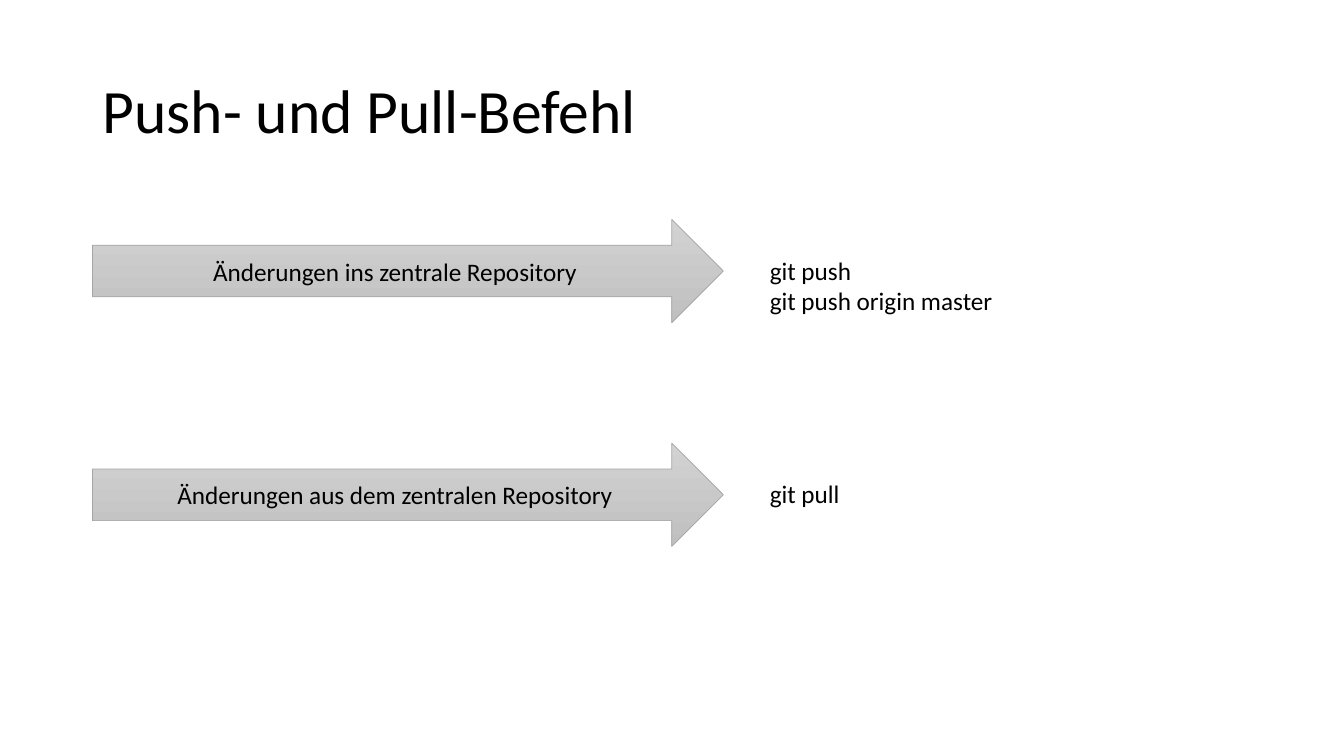
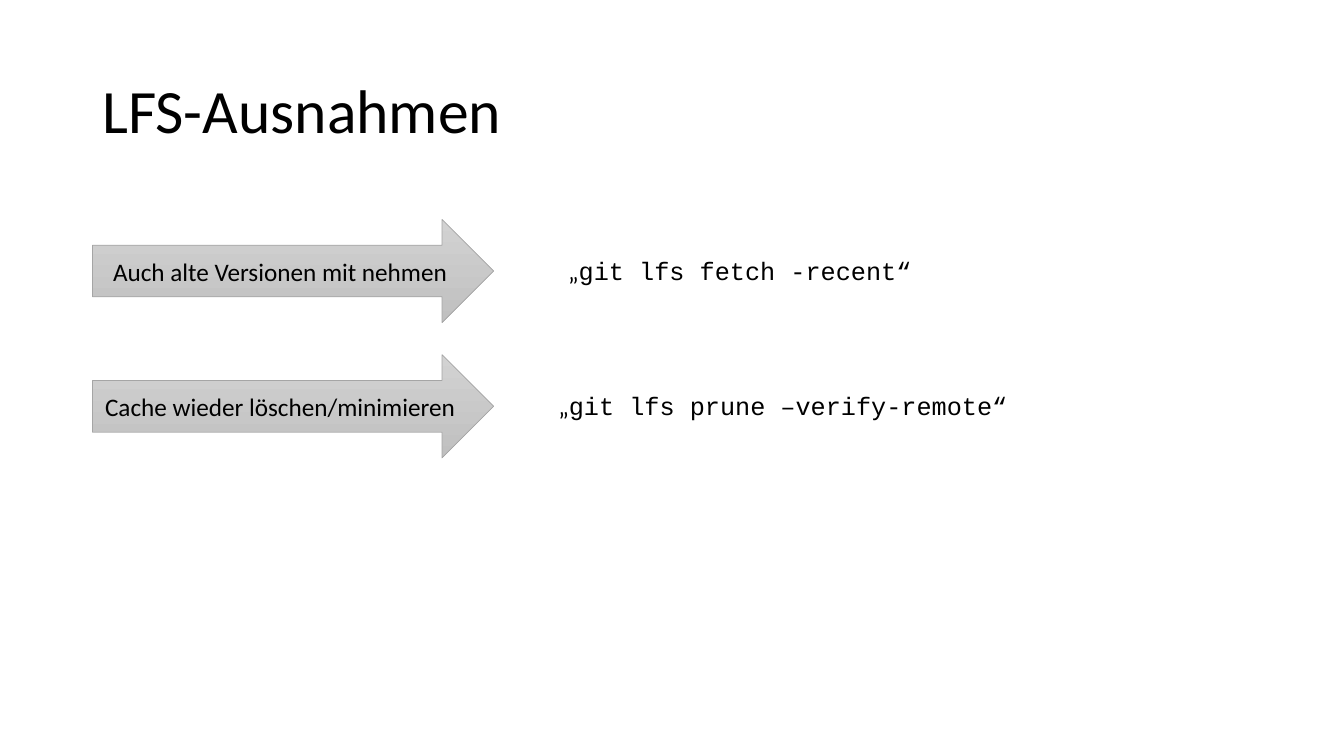
from pptx import Presentation
from pptx.dml.color import RGBColor
from pptx.enum.shapes import MSO_SHAPE as Preset
from pptx.enum.text import MSO_ANCHOR as Anchor, MSO_AUTO_SIZE as AutoSize, PP_ALIGN as Align
from pptx.util import Cm, Pt

BLACK = RGBColor(0x00, 0x00, 0x00)
ARROW_LIGHT = RGBColor(0xD2, 0xD2, 0xD2)
ARROW_DARK = RGBColor(0xC0, 0xC0, 0xC0)
ARROW_EDGE = RGBColor(0xA5, 0xA5, 0xA5)
BODY_FONT = "Calibri"
CODE_FONT = "Courier New"

TITLE_ONLY = 5
LEFT = Cm(2.33)
FIRST_ROW = Cm(5.53)
ARROW_HEIGHT = Cm(2.6)
COMMAND_DROP = Cm(0.77)
COMMAND_WIDTH = Cm(12.5)
LINE_HEIGHT = Cm(0.77)


def write(frame, lines, size=18, align=Align.LEFT, anchor=Anchor.TOP, spacing=None):
    """Fill a frame with one paragraph per line; a line is a list of (text, font) runs."""
    frame.word_wrap = True
    frame.auto_size = AutoSize.NONE
    frame.vertical_anchor = anchor
    for index, line in enumerate(lines):
        paragraph = frame.add_paragraph() if index else frame.paragraphs[0]
        paragraph.alignment = align
        paragraph.line_spacing = spacing
        for text, font in line:
            run = paragraph.add_run()
            run.text = text
            run.font.name = font
            run.font.size = Pt(size)
            run.font.color.rgb = BLACK


class Deck:
    def __init__(self):
        self.presentation = Presentation()
        self.presentation.slide_width = Cm(33.87)
        self.presentation.slide_height = Cm(19.05)
        self.slide = None

    def add_slide(self, heading):
        layout = self.presentation.slide_layouts[TITLE_ONLY]
        self.slide = self.presentation.slides.add_slide(layout)
        title = self.slide.shapes.title
        title.left, title.top, title.width, title.height = LEFT, Cm(1.01), Cm(29.21), Cm(3.68)
        write(title.text_frame, [[(heading, BODY_FONT)]], size=44, anchor=Anchor.MIDDLE, spacing=0.9)

    def arrow(self, label, top, width):
        arrow = self.slide.shapes.add_shape(Preset.RIGHT_ARROW, LEFT, top, width, ARROW_HEIGHT)
        arrow.shadow.inherit = False
        arrow.fill.gradient()
        arrow.fill.gradient_angle = 270
        for stop, colour in zip(arrow.fill.gradient_stops, (ARROW_LIGHT, ARROW_DARK)):
            stop.color.rgb = colour
        arrow.line.color.rgb = ARROW_EDGE
        arrow.line.width = Pt(0.5)
        write(arrow.text_frame, [[(label, BODY_FONT)]], align=Align.CENTER, anchor=Anchor.MIDDLE)

    def commands(self, lines, left, row_top):
        height = Cm(0.25) + LINE_HEIGHT * len(lines)
        box = self.slide.shapes.add_textbox(left, row_top + COMMAND_DROP, COMMAND_WIDTH, height)
        write(box.text_frame, lines)

    def rows(self, entries, pitch, arrow_width):
        """Stack arrows at an equal pitch, each with its commands to the right."""
        for index, (label, lines, left) in enumerate(entries):
            top = FIRST_ROW + index * pitch
            self.arrow(label, top, arrow_width)
            self.commands(lines, left, top)


def quoted(command):
    return [[("„", BODY_FONT), (command + "“", CODE_FONT)]]


def plain(*commands):
    return [[(command, BODY_FONT)] for command in commands]


def main():
    deck = Deck()

    deck.add_slide("Push- und Pull-Befehl")
    deck.rows(
        [
            ("Änderungen ins zentrale Repository", plain("git push", "git push origin master"), Cm(19.15)),
            ("Änderungen aus dem zentralen Repository", plain("git pull"), Cm(19.15)),
        ],
        pitch=Cm(5.64),
        arrow_width=Cm(15.9),
    )

    deck.add_slide("LFS-Ausnahmen")
    deck.rows(
        [
            ("Auch alte Versionen mit nehmen", quoted("git lfs fetch -recent"), Cm(14.07)),
            ("Cache wieder löschen/minimieren", quoted("git lfs prune –verify-remote"), Cm(13.82)),
        ],
        pitch=Cm(3.41),
        arrow_width=Cm(10.11),
    )

    deck.presentation.save("out.pptx")


if __name__ == "__main__":
    main()
